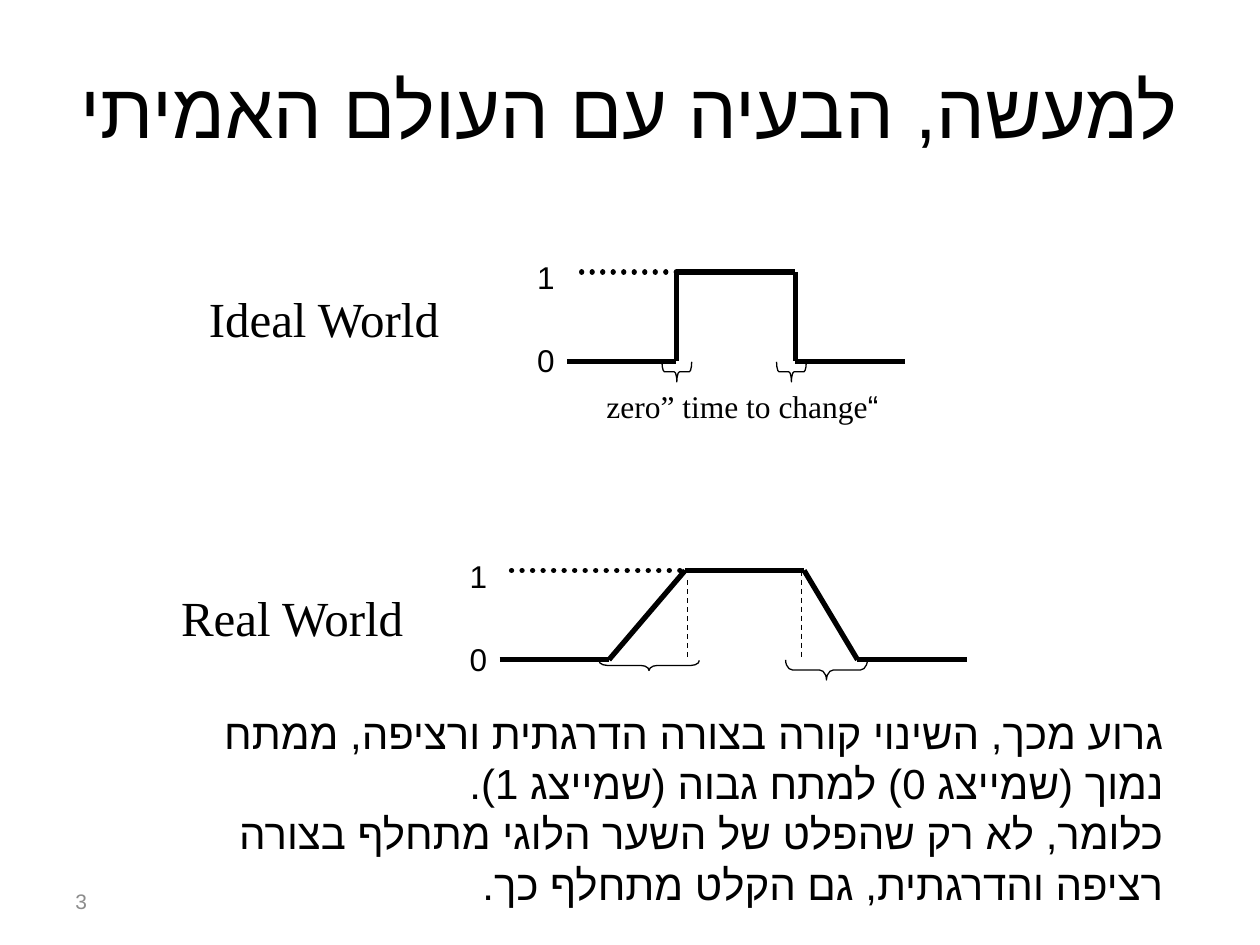
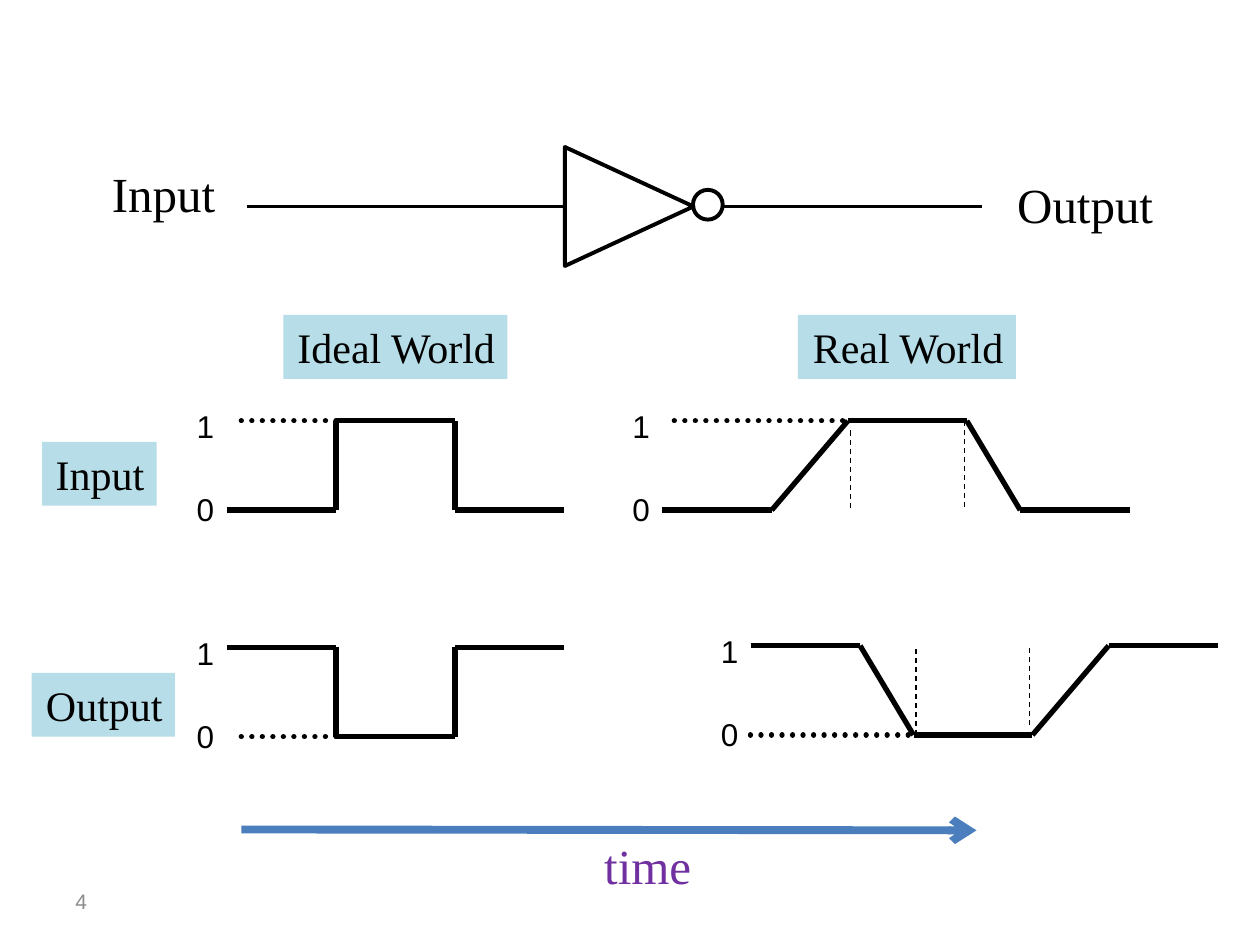
from itertools import accumulate, pairwise

from lxml import etree
from pptx import Presentation
from pptx import util as u
from pptx.dml.color import RGBColor
from pptx.enum import dml, shapes, text
from pptx.oxml.ns import qn

BLACK, GREY, PALE, BLUE, PURPLE = "000000", "8C8C8C", "B7DEE8", "4B7EBC", "7030A0"
SERIF, SANS, HEBREW = "Times New Roman", "Calibri", "Arial"
ALIGN, ANCHOR, DASH = text.PP_ALIGN, text.MSO_ANCHOR, dml.MSO_LINE
SHAPE = shapes.MSO_SHAPE

STEP, PLATEAU, HEIGHT = 62.5, 68, 51
SLOW, FAST = 43.5, 30.5


def color(value):
    return RGBColor.from_string(value)


def add_text(s, box, lines, size, font=SERIF, ink=BLACK, align=ALIGN.RIGHT,
             anchor=ANCHOR.TOP, wrap=False, fit=True, fill=None):
    sp = s.shapes.add_textbox(*map(u.Pt, box))
    if fill:
        sp.fill.solid()
        sp.fill.fore_color.rgb = color(fill)
    tf = sp.text_frame
    tf.word_wrap = wrap
    tf.vertical_anchor = anchor
    if fit:
        tf.auto_size = text.MSO_AUTO_SIZE.SHAPE_TO_FIT_TEXT
    for i, line in enumerate(lines):
        p = tf.add_paragraph() if i else tf.paragraphs[0]
        p.alignment = align
        p._p.get_or_add_pPr().set("rtl", "1")
        r = p.add_run()
        r.text = line
        r.font.size = u.Pt(size)
        r.font.color.rgb = color(ink)
        r.font.name = font
        etree.SubElement(r._r.get_or_add_rPr(), qn("a:cs"), typeface=HEBREW)


def add_line(s, start, end, width=3, ink=BLACK, dash=None, arrow=False):
    cx = s.shapes.add_connector(shapes.MSO_CONNECTOR.STRAIGHT,
                                *map(u.Pt, (*start, *end)))
    cx.line.width = u.Pt(width)
    cx.line.color.rgb = color(ink)
    ln = cx.get_or_add_ln()
    if dash:
        cx.line.dash_style = dash
    if dash == DASH.ROUND_DOT:
        ln.set("cap", "rnd")
    if arrow:
        etree.SubElement(ln, qn("a:tailEnd"), type="arrow")
    etree.SubElement(cx._element.spPr, qn("a:effectLst"))


def add_outline(s, kind, box, width, rotation=0, adj=()):
    sp = s.shapes.add_shape(kind, *map(u.Pt, box))
    sp.shadow.inherit = False
    sp.fill.background()
    sp.line.color.rgb = color(BLACK)
    sp.line.width = u.Pt(width)
    sp.rotation = rotation
    for i, value in enumerate(adj):
        sp.adjustments[i] = value


def add_brace(s, box, curve):
    add_outline(s, SHAPE.RIGHT_BRACE, box, 0.75, 90, (curve, 0.5))


def add_wave(s, x, high, first=0, last=0, inverted=False, dots=5.5):
    g = s.shapes.add_group_shape()
    low = high + HEIGHT
    rest, active = (high, low) if inverted else (low, high)
    xs = list(accumulate((STEP, first, PLATEAU, last, STEP), initial=x))
    ys = (rest, rest, active, active, rest, rest)
    for start, end in pairwise(zip(xs, ys)):
        add_line(g, start, end)
    for label, top in (("0", low - 15), ("1", high - 11.5)):
        add_text(g, (x - 24.5, top, 24.5, 29), [label], 18)
    add_line(g, (xs[2] - (3 if first else 0), active), (x + dots, active),
             dash=DASH.ROUND_DOT)
    if first:
        inset = 5.5 if active == high else -5.5
        for edge, slow in ((xs[2] + 1.5, first > last), (xs[3] - 1.5, last > first)):
            add_line(g, (edge, active + inset * slow), (edge, rest), 0.75,
                     dash=DASH.DASH)


def add_number(s, number):
    add_text(s, (36, 500.5, 168, 28.75), [number], 12, SANS, GREY, ALIGN.LEFT,
             ANCHOR.MIDDLE, wrap=True, fit=False)


def new_slide(prs, number):
    s = prs.slides.add_slide(prs.slide_layouts[6])
    add_number(s, number)
    return s


def worlds_slide(prs):
    s = new_slide(prs, "3")
    add_text(s, (36, 16.5, 648, 90), ["למעשה, הבעיה עם העולם האמיתי"], 44,
             align=ALIGN.CENTER, anchor=ANCHOR.MIDDLE, wrap=True, fit=False)

    add_wave(s, 324, 155.5)
    add_text(s, (111, 161.5, 147, 41), ["Ideal World"], 28)
    for left in (381, 446.5):
        add_brace(s, (left, 204, 11.5, 17), 0.125)
    add_text(s, (335.5, 217.5, 173.5, 29), ["“zero” time to change"], 18)

    add_wave(s, 285.5, 326, SLOW, FAST)
    add_text(s, (95, 332, 142.5, 41), ["Real World"], 28)
    add_brace(s, (368, 351.5, 5.75, 57.5), 0.835)
    add_brace(s, (466.5, 359.5, 11.5, 46.75), 0.343)

    add_text(s, (76.5, 400.5, 595.5, 124), [
        "גרוע מכך, השינוי קורה בצורה הדרגתית ורציפה, ממתח נמוך "
        "(שמייצג 0) למתח גבוה (שמייצג 1).",
        "כלומר, לא רק שהפלט של השער הלוגי מתחלף בצורה "
        "רציפה והדרגתית, גם הקלט מתחלף כך.",
    ], 24, SANS, wrap=True)


def inverter_slide(prs):
    s = new_slide(prs, "4")
    add_wave(s, 129.5, 240.5)
    add_wave(s, 129.5, 370, inverted=True)
    add_wave(s, 378.5, 240.5, SLOW, FAST)
    add_wave(s, 429, 369, FAST, SLOW, inverted=True, dots=-5)

    for label, left, top, width in (("Ideal World", 162, 180, 128),
                                    ("Real World", 456, 180, 124.5),
                                    ("Input", 24, 252.5, 65.5),
                                    ("Output", 18, 384.5, 82)):
        add_text(s, (left, top, width, 36.5), [label], 24, fill=PALE)

    axis = 118
    add_outline(s, SHAPE.ISOSCELES_TRIANGLE, (325.5, 81.25, 68, 73.5), 2.25, 90)
    add_outline(s, SHAPE.OVAL, (396, 108.5, 17, 17), 2.25)
    add_line(s, (413, axis), (561, axis), 2.25)
    add_line(s, (322.5, axis), (141, axis), 2.25)
    add_text(s, (56, 90, 74, 41), ["Input"], 28)
    add_text(s, (573, 96, 93, 41), ["Output"], 28)

    add_line(s, (138, 474), (558, 474.5), 4.5, BLUE, arrow=True)
    add_text(s, (306, 474, 96, 41), ["time"], 28, ink=PURPLE, wrap=True)


def main():
    prs = Presentation()
    prs.slide_width, prs.slide_height = u.Pt(720), u.Pt(540)
    worlds_slide(prs)
    inverter_slide(prs)
    prs.save("out.pptx")


main()
